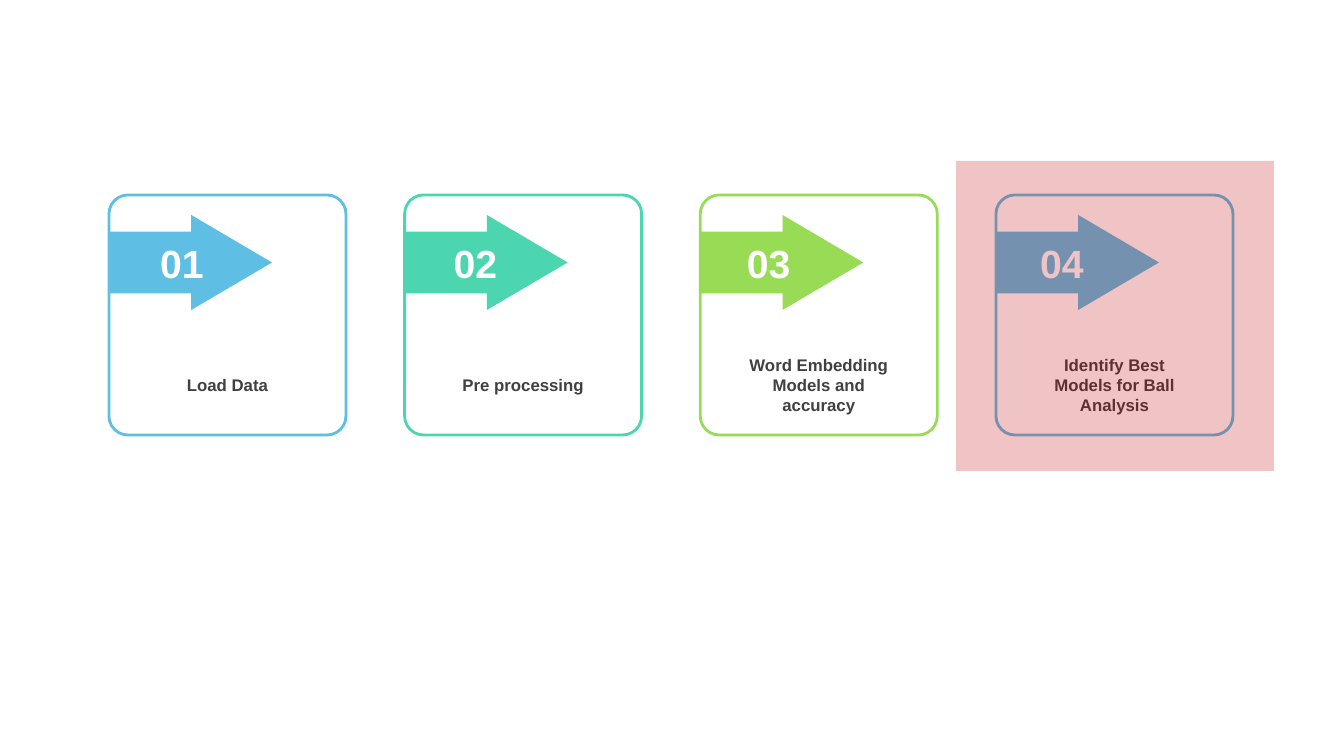
from dataclasses import dataclass

from lxml import etree
from pptx import Presentation
from pptx.dml.color import RGBColor
from pptx.enum.shapes import MSO_SHAPE
from pptx.enum.text import MSO_ANCHOR, PP_ALIGN
from pptx.oxml.ns import qn
from pptx.util import Pt

ROUND = MSO_SHAPE.ROUNDED_RECTANGLE
ARROW = MSO_SHAPE.RIGHT_ARROW
RECT = MSO_SHAPE.RECTANGLE
MIDDLE = MSO_ANCHOR.MIDDLE
CENTER = PP_ALIGN.CENTER
SCALE = 914400 / 100.8


@dataclass(frozen=True)
class Theme:
    font: str = "Arial"
    white: str = "FFFFFF"
    ink: str = "404040"
    blue: str = "5EBEE4"
    teal: str = "4CD6B0"
    green: str = "98DC56"
    red: str = "C00000"
    label: int = 12
    number: int = 28
    border: int = 2


THEME = Theme()
STEPS = [
    ("Load Data", THEME.blue),
    ("Pre processing", THEME.teal),
    ("Word Embedding Models and accuracy", THEME.green),
    ("Identify Best Models for Ball Analysis", THEME.blue),
]


def px(*sizes):
    return [round(size * SCALE) for size in sizes]


def add_form(slide, kind, box, fill, line=None, adjust=()):
    form = slide.shapes.add_shape(kind, *px(*box))
    form.shadow.inherit = False
    form.fill.solid()
    form.fill.fore_color.rgb = RGBColor.from_string(fill)
    if line:
        form.line.color.rgb = RGBColor.from_string(line)
        form.line.width = Pt(THEME.border)
    else:
        form.line.fill.background()
    for i, value in enumerate(adjust):
        form.adjustments[i] = value
    return form


def add_text(slide, box, text, size, color):
    frame = slide.shapes.add_textbox(*px(*box)).text_frame
    frame.word_wrap = True
    frame.vertical_anchor = MIDDLE
    para = frame.paragraphs[0]
    para.text = text
    para.alignment = CENTER
    font = para.font
    font.name, font.size, font.bold = THEME.font, Pt(size), True
    font.color.rgb = RGBColor.from_string(color)


def add_step(slide, box, index, label, color):
    left, top, width, height = box
    add_form(slide, ROUND, box, THEME.white, color, [0.08])
    add_text(slide, (left + 28, top + 154, width - 56, 72),
             label, THEME.label, THEME.ink)
    add_form(slide, ARROW, (left, top + 20, 163, 95), color,
             adjust=[0.65, 0.85])
    # Each number sits slightly further left within its card.
    add_text(slide, (left + 37 - 7 * index / 3, top + 39, 72, 57),
             f"{index + 1:02d}", THEME.number, THEME.white)


def add_steps(slide, box):
    left, top, width, height = box
    side = 237
    pitch = (width - side) / (len(STEPS) - 1)
    for i, (label, color) in enumerate(STEPS):
        add_step(slide, (left + i * pitch, top, side, height), i, label, color)


def add_veil(slide, box):
    """Lay a translucent highlight over the box."""
    veil = add_form(slide, RECT, box, THEME.red)
    color = veil.element.find(f".//{qn('a:srgbClr')}")
    etree.SubElement(color, qn("a:alpha")).set("val", "23000")


def main():
    deck = Presentation()
    deck.slide_width, deck.slide_height = px(1344, 756)
    slide = deck.slides.add_slide(deck.slide_layouts[6])
    add_steps(slide, (109, 195, 1124, 240))
    add_veil(slide, (956, 161, 318, 310))
    deck.save("out.pptx")


if __name__ == "__main__":
    main()
